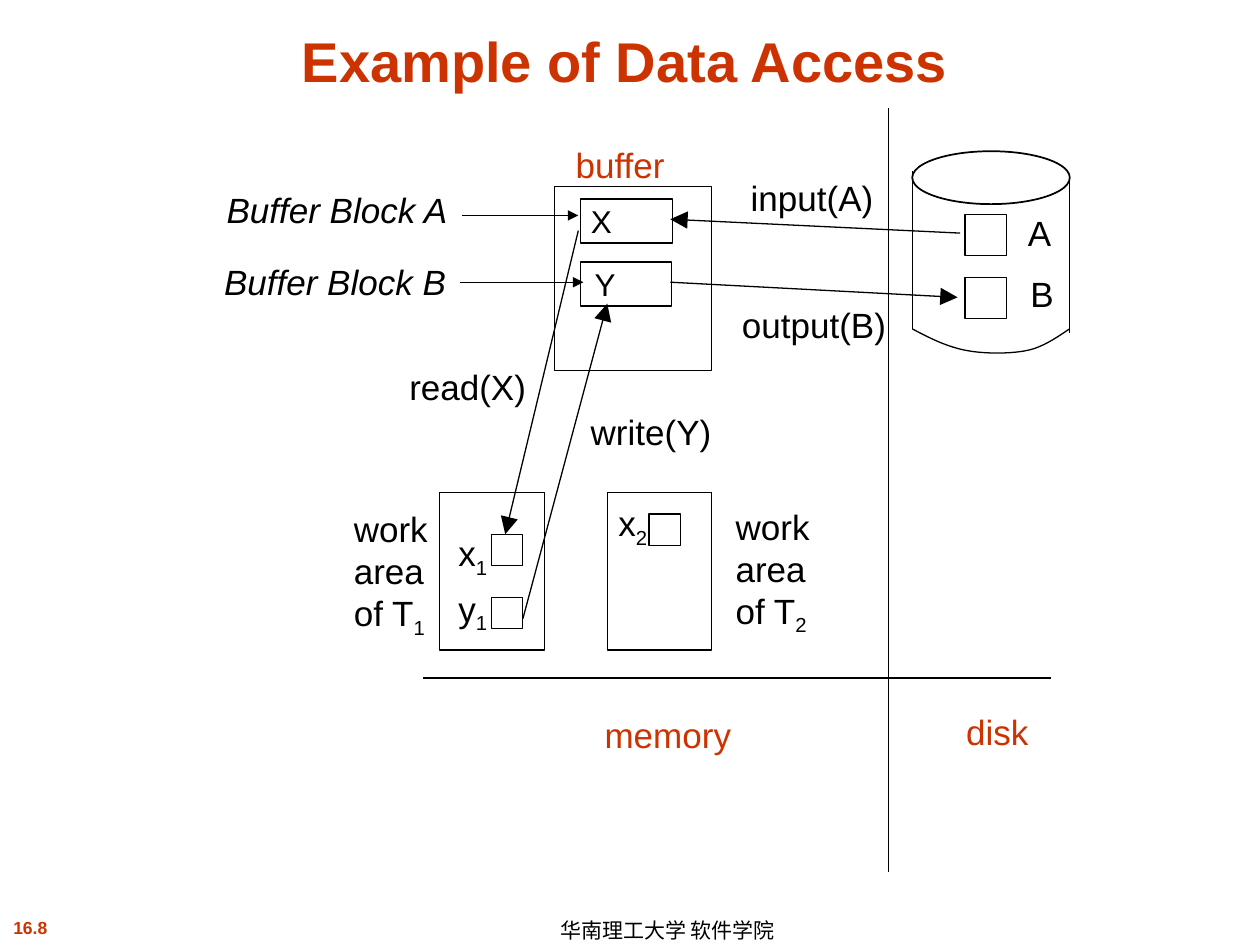
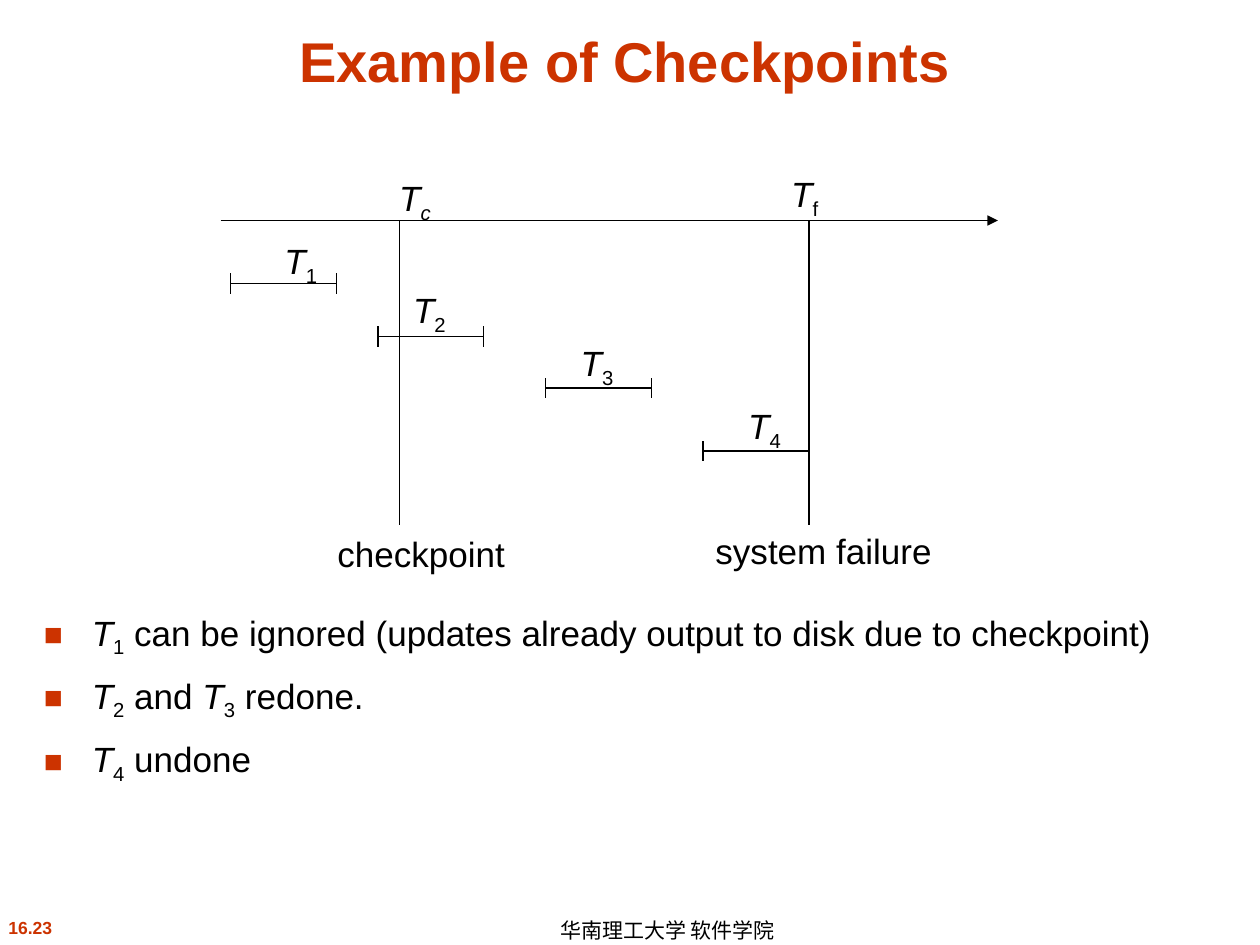
import pptx
import pptx.dml.color
import pptx.enum.shapes
import pptx.enum.text
import pptx.oxml
import pptx.oxml.ns
import pptx.util

Inches = pptx.util.Inches
Pt = pptx.util.Pt
Shapes = pptx.enum.shapes.MSO_SHAPE
Align = pptx.enum.text.PP_ALIGN
Anchor = pptx.enum.text.MSO_ANCHOR

BLACK, RED = "000000", "CC3300"
FONT = "Arial"
FOOTER = "华南理工大学 软件学院"


def term(name, index, index_style="sub"):
    """Runs for an italic name with a lowered index."""
    return [(name, "italic"), (index, index_style)]


# Slide 1: memory and disk
BUFFER = (4.4, 1.48, 1.25, 1.46)
BUFFER_BLOCKS = [("X", 4.61, 1.58, 0.73, 0.08), ("Y", 4.61, 2.08, 0.72, 0.11)]
WORK_AREAS = [(3.49, 3.91, 0.83, 1.25), (4.82, 3.91, 0.83, 1.25)]
DISK_BLOCKS = [(7.66, 1.7, 0.33, 0.33), (7.66, 2.2, 0.33, 0.33)]
LOCAL_VARIABLES = [(5.15, 4.08, 0.25, 0.25), (3.9, 4.24, 0.25, 0.25), (3.9, 4.74, 0.25, 0.25)]
DISK_TOP = (7.24, 1.2, 1.25, 0.42)
DISK_BOTTOM = [
    [(7.24, 2.61), (7.37, 2.68), (7.51, 2.75), (7.66, 2.78)],
    [(7.66, 2.78), (7.81, 2.81), (8.02, 2.81), (8.16, 2.78)],
    [(8.16, 2.78), (8.3, 2.75), (8.44, 2.64), (8.49, 2.61)],
]
PLAIN_LINES = [
    (7.24, 1.36, 7.24, 2.61),
    (8.49, 1.39, 8.49, 2.64),
    (3.36, 5.38, 8.34, 5.38),
    (7.05, 0.86, 7.05, 6.92),
]
POINTERS = [(3.67, 1.71, 4.59, 1.71), (3.65, 2.24, 4.63, 2.24)]
TRANSFERS = [
    (7.62, 1.85, 5.32, 1.74),
    (5.32, 2.24, 7.6, 2.36),
    (4.59, 1.83, 4.01, 4.24),
    (4.15, 4.91, 4.82, 2.41),
]
ACCESS_LABELS = [  # runs, left, top, width, colour
    ("A", 8.06, 1.63, 0.38, BLACK),
    ("B", 8.08, 2.11, 0.38, BLACK),
    ([("x", ""), ("1", "sub")], 3.54, 4.17, 0.43, BLACK),
    ([("y", ""), ("1", "sub")], 3.54, 4.61, 0.43, BLACK),
    ([("x", ""), ("2", "sub")], 4.81, 3.93, 0.43, BLACK),
    ("buffer", 4.47, 1.09, 0.91, RED),
    ([("Buffer Block A", "italic")], 1.7, 1.45, 1.96, BLACK),
    ([("Buffer Block B", "italic")], 1.68, 2.02, 1.96, BLACK),
    ("input(A)", 5.86, 1.35, 1.17, BLACK),
    ("output(B)", 5.79, 2.36, 1.35, BLACK),
    ("read(X)", 3.15, 2.85, 1.13, BLACK),
    ("write(Y)", 4.59, 3.21, 1.16, BLACK),
    ("disk", 7.57, 5.59, 0.69, RED),
    ("memory", 4.7, 5.61, 1.2, RED),
]
WORK_AREA_LABELS = [("1", 2.71, 3.98, 0.8), ("2", 5.74, 3.96, 1)]

# Slide 2: timeline
TIME_AXIS = (1.75, 1.75, 7.92, 1.75)
EVENT_TIMES, EVENT_END = (3.17, 6.42), 4.17
TRANSACTIONS = [  # index, start, height on slide, label left, label top
    ("1", 1.83, 2.25, 2.16, 1.85),
    ("2", 3, 2.67, 3.18, 2.24),
    ("3", 4.33, 3.08, 4.51, 2.66),
    ("4", 5.58, 3.58, 5.84, 3.16),
]
DURATION, TICK = 0.84, 0.08
EVENT_LABELS = [
    (term("T", "c", "italic sub"), 3.07, 1.35, 0.45),
    (term("T", "f"), 6.18, 1.32, 0.41),
    ("checkpoint", 2.58, 4.18, 1.53),
    ("system failure", 5.58, 4.15, 1.91),
]
OUTCOMES = [
    term("T", "1") + [(" can be ignored (updates already output to disk due to checkpoint)", "")],
    term("T", "2") + [(" and ", "")] + term("T", "3") + [(" redone.", "")],
    term("T", "4") + [(" undone", "")],
]


def rgb(value):
    return pptx.dml.color.RGBColor.from_string(value)


def child(parent, tag, **attributes):
    """Append a new XML element to the parent and return it."""
    element = parent.makeelement(pptx.oxml.ns.qn(tag), attributes)
    parent.append(element)
    return element


def add_runs(paragraph, runs, size=20, color=BLACK, bold=False):
    for text, style in [(runs, "")] if isinstance(runs, str) else runs:
        run = paragraph.add_run()
        run.text = text
        font = run.font
        font.name, font.size, font.bold = FONT, Pt(size), bold
        font.italic = "italic" in style
        font.color.rgb = rgb(color)
        if "sub" in style:
            run._r.get_or_add_rPr().set("baseline", "-25000")


def add_text(slide, runs, left, top, width, height=0.44, align=Align.LEFT,
             anchor=Anchor.TOP, wrap=False, insets=(0.1, 0.1), **font):
    """Add a one-paragraph text box and return the paragraph."""
    box = slide.shapes.add_textbox(Inches(left), Inches(top), Inches(width), Inches(height))
    frame = box.text_frame
    frame.word_wrap, frame.vertical_anchor = wrap, anchor
    frame.margin_left, frame.margin_right = map(Inches, insets)
    paragraph = frame.paragraphs[0]
    paragraph.alignment = align
    add_runs(paragraph, runs, **font)
    return paragraph


def add_label(slide, runs, left, top, width, color=BLACK):
    """Add a one-line label with spare room on its right."""
    add_text(slide, runs, left, top, width + 0.1, insets=(0.1, 0), color=color)


def outline(shape, width=0.75):
    shape.shadow.inherit = False
    shape.fill.background()
    shape.line.color.rgb = rgb(BLACK)
    shape.line.width = Pt(width)


def add_outlined(slide, kind, place, width=0.75):
    shape = slide.shapes.add_shape(kind, *map(Inches, place))
    outline(shape, width)
    return shape


def add_line(slide, ends, arrow=None):
    """Draw a line; arrow is the size of the head at its end, med or lg."""
    line = slide.shapes.add_connector(pptx.enum.shapes.MSO_CONNECTOR.STRAIGHT, *map(Inches, ends))
    line.line.color.rgb = rgb(BLACK)
    line.line.width = Pt(0.75)
    properties = line._element.spPr
    if arrow:
        child(properties.get_or_add_ln(), "a:tailEnd", type="triangle", w=arrow, len=arrow)
    child(properties, "a:effectLst")


def curve_points(controls, steps=10):
    """Points along a cubic curve after its start."""
    for step in range(1, steps + 1):
        t = step / steps
        weights = ((1 - t) ** 3, 3 * t * (1 - t) ** 2, 3 * t * t * (1 - t), t ** 3)
        yield tuple(Inches(sum(w * point[axis] for w, point in zip(weights, controls)))
                    for axis in (0, 1))


def add_slide(presentation, title, number):
    """Add a blank slide with its title, number and footer."""
    slide = presentation.slides.add_slide(presentation.slide_layouts[6])
    add_text(slide, number, 0, 7.23, 0.48, 0.27, Align.CENTER, insets=(0, 0),
             size=10, color=RED, bold=True)
    footer = add_text(slide, FOOTER, 4.01, 7.25, 2.24, 0.25, Align.RIGHT, Anchor.MIDDLE, size=12)
    footer.line_spacing = 1.1
    add_text(slide, title, 0.25, 0.12, 9.42, 0.67, Align.CENTER, Anchor.BOTTOM, True,
             size=32, color=RED, bold=True)
    return slide


def draw_data_access(slide):
    for place in [BUFFER, *WORK_AREAS, *DISK_BLOCKS, *LOCAL_VARIABLES]:
        add_outlined(slide, Shapes.RECTANGLE, place)
    for name, left, top, width, inset in BUFFER_BLOCKS:
        block = add_outlined(slide, Shapes.RECTANGLE, (left, top, width, 0.35))
        frame = block.text_frame
        frame.vertical_anchor, frame.margin_left = Anchor.MIDDLE, Inches(inset)
        frame.paragraphs[0].alignment = Align.LEFT
        add_runs(frame.paragraphs[0], name, size=18)

    add_outlined(slide, Shapes.OVAL, DISK_TOP, 1)
    builder = slide.shapes.build_freeform(*map(Inches, DISK_BOTTOM[0][0]))
    for controls in DISK_BOTTOM:
        builder.add_line_segments(curve_points(controls), close=False)
    outline(builder.convert_to_shape())

    for lines, arrow in ((PLAIN_LINES, None), (POINTERS, "med"), (TRANSFERS, "lg")):
        for ends in lines:
            add_line(slide, ends, arrow)
    for label in ACCESS_LABELS:
        add_label(slide, *label)
    for index, left, top, width in WORK_AREA_LABELS:
        add_text(slide, [("work area of T", ""), (index, "sub")], left, top, width, 1.15, wrap=True)


def add_bullets(slide, items, left, top, width, height):
    box = slide.shapes.add_textbox(*map(Inches, (left, top, width, height)))
    frame = box.text_frame
    frame.word_wrap = True
    for position, runs in enumerate(items):
        paragraph = frame.add_paragraph() if position else frame.paragraphs[0]
        paragraph.space_before = Pt(8.8)
        properties = paragraph._p.get_or_add_pPr()
        properties.set("marL", str(Inches(0.38)))
        properties.set("indent", str(-Inches(0.38)))
        child(child(properties, "a:buClr"), "a:srgbClr", val=RED)
        child(properties, "a:buSzPct", val="90000")
        child(properties, "a:buFont", typeface=FONT)
        child(properties, "a:buChar", char="■")
        add_runs(paragraph, runs)


def draw_checkpoints(slide):
    add_line(slide, TIME_AXIS, "med")
    for time in EVENT_TIMES:
        add_line(slide, (time, TIME_AXIS[1], time, EVENT_END))
    for index, start, y, label_left, label_top in TRANSACTIONS:
        end = start + DURATION
        add_line(slide, (start, y, end, y))
        for x in (start, end):
            add_line(slide, (x, y - TICK, x, y + TICK))
        add_label(slide, term("T", index), label_left, label_top, 0.46)
    for label in EVENT_LABELS:
        add_label(slide, *label)
    add_bullets(slide, OUTCOMES, 0.25, 4.8, 9.42, 2.12)


def main():
    presentation = pptx.Presentation()
    presentation.slide_width, presentation.slide_height = Inches(10), Inches(7.5)
    draw_data_access(add_slide(presentation, "Example of Data Access", "16.8"))
    draw_checkpoints(add_slide(presentation, "Example of Checkpoints", "16.23"))
    presentation.save("out.pptx")


if __name__ == "__main__":
    main()
